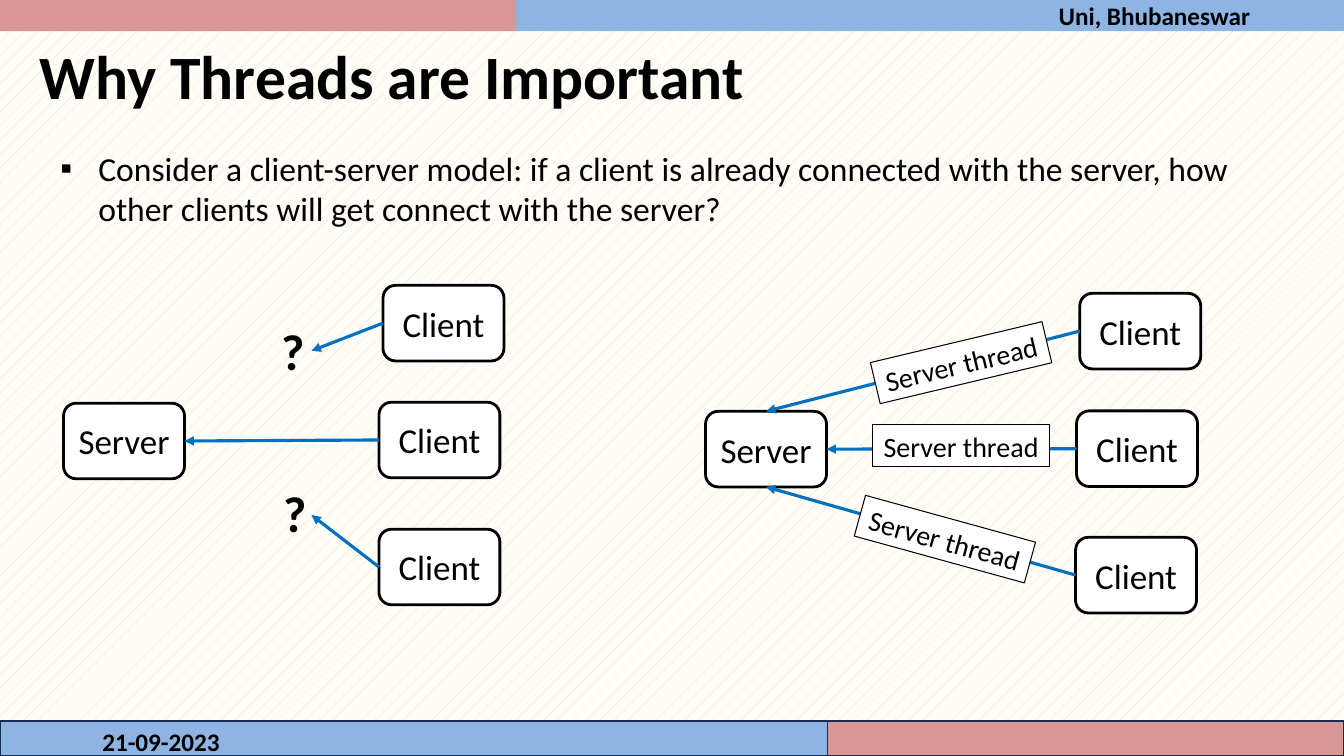
"""Build a slide on why a server needs one thread per client."""
from lxml import etree
from pptx import Presentation
from pptx.dml import color
from pptx.enum import dml, shapes, text
from pptx.oxml import ns
from pptx.util import Pt

RED, BLUE, NAVY = "D99694", "8EB4E3", "172C51"
BLACK, WHITE = "000000", "FFFFFF"
RECT = shapes.MSO_SHAPE.RECTANGLE
ROUND = shapes.MSO_SHAPE.ROUNDED_RECTANGLE


def hue(code):
    return color.RGBColor.from_string(code)


def block(kind, area, fill, line=None, weight=1, label="", size=18):
    item = slide.shapes.add_shape(kind, *map(Pt, area))
    item.shadow.inherit = False
    item.fill.solid()
    item.fill.fore_color.rgb = hue(fill)
    if line:
        item.line.color.rgb = hue(line)
        item.line.width = Pt(weight)
    else:
        item.line.fill.background()
    if label:
        para = item.text_frame.paragraphs[0]
        para.text = label
        para.alignment = text.PP_ALIGN.CENTER
        para.font.name, para.font.size = "Calibri", Pt(size)
        para.font.color.rgb = hue(BLACK)
    return item


deck = Presentation()
deck.slide_width, deck.slide_height = Pt(960), Pt(540)
slide = deck.slides.add_slide(deck.slide_layouts[1])

back = slide.background.fill
back.patterned()
back.pattern = dml.MSO_PATTERN.PERCENT_5
back.fore_color.rgb = hue("FCD5B5")
back.back_color.rgb = hue("FFFDF8")

block(RECT, (0, 0, 368.5, 22.3), RED)
head = block(RECT, (368.5, 0, 591.5, 22.3), BLUE, label="Uni, Bhubaneswar")
frame = head.text_frame
frame.margin_left = frame.margin_top = frame.margin_bottom = 0
frame.margin_right = Pt(67)
frame.paragraphs[0].alignment = text.PP_ALIGN.RIGHT
frame.paragraphs[0].font.bold = True
block(RECT, (591, 515, 369, 25), RED, NAVY)
block(RECT, (0, 515, 591, 25), BLUE, NAVY)

title, body = slide.placeholders
words = [
    (title, (21, 23, 906, 61), "Why Threads are Important", 44),
    (body, (36, 102, 902, 90), "Consider a client-server model: if a client is already connected "
     "with the server, how other clients will get connect with the server?", 24),
]
for item, area, copy, size in words:
    item.left, item.top, item.width, item.height = map(Pt, area)
    para = item.text_frame.paragraphs[0]
    para.text = copy
    para.alignment = text.PP_ALIGN.LEFT
    para.font.name, para.font.size = "Calibri", Pt(size)
    para.font.bold = item is title
    para.font.color.rgb = hue(BLACK)
props = body.text_frame.paragraphs[0]._p.get_or_add_pPr()
props.set("marL", str(Pt(27)))
props.set("indent", str(Pt(-27)))
etree.SubElement(props, ns.qn("a:buChar")).set("char", "▪")

notes = [
    ("21-09-2023", (66, 515, 216, 29), 18),
    ("?", (193.7, 225.4, 39, 43), 36),
    ("?", (195.1, 340.6, 39, 43), 36),
]
for copy, area, size in notes:
    frame = slide.shapes.add_textbox(*map(Pt, area)).text_frame
    frame.word_wrap = True
    para = frame.paragraphs[0]
    para.text = copy
    para.font.name, para.font.size = "Calibri", Pt(size)
    para.font.bold = True
    para.font.color.rgb = hue(BLACK)

models = [
    ((45.4, 288), [(273.6, 203.8, (222.5, 250.6)), (270.7, 287.3, 3),
                   (270.7, 378, (222.5, 367.9))]),
    ((504, 293.8), [(771.3, 209.5, 0), (769, 293.5, 3), (768.3, 383.8, 2)]),
]
for place, clients in models:
    server = block(ROUND, (*place, 86.4, 54), WHITE, BLACK, 2, "Server", 25)
    for x, y, goal in clients:
        client = block(ROUND, (x, y, 86.4, 54), WHITE, BLACK, 2, "Client", 25)
        end = goal if isinstance(goal, tuple) else (0, 0)
        link = slide.shapes.add_connector(
            shapes.MSO_CONNECTOR.STRAIGHT, Pt(x), Pt(y + 27), *map(Pt, end))
        link.begin_connect(client, 1)
        if isinstance(goal, int):
            link.end_connect(server, goal)
        link.line.color.rgb = hue("0070C0")
        link.line.width = Pt(2.25)
        tip = etree.SubElement(link.line._get_or_add_ln(), ns.qn("a:tailEnd"))
        tip.set("type", "triangle")
        etree.SubElement(link._element.spPr, ns.qn("a:effectLst"))

for x, y, turn in [(623.5, 303.1, 0), (612, 370, 15.4), (623.5, 244, -13.4)]:
    thread = block(RECT, (x, y, 126, 30.2), WHITE, BLACK, 0.75, "Server thread", 20)
    thread.rotation = turn
    thread.text_frame.word_wrap = False
    thread.text_frame.vertical_anchor = text.MSO_ANCHOR.TOP

deck.save("out.pptx")
